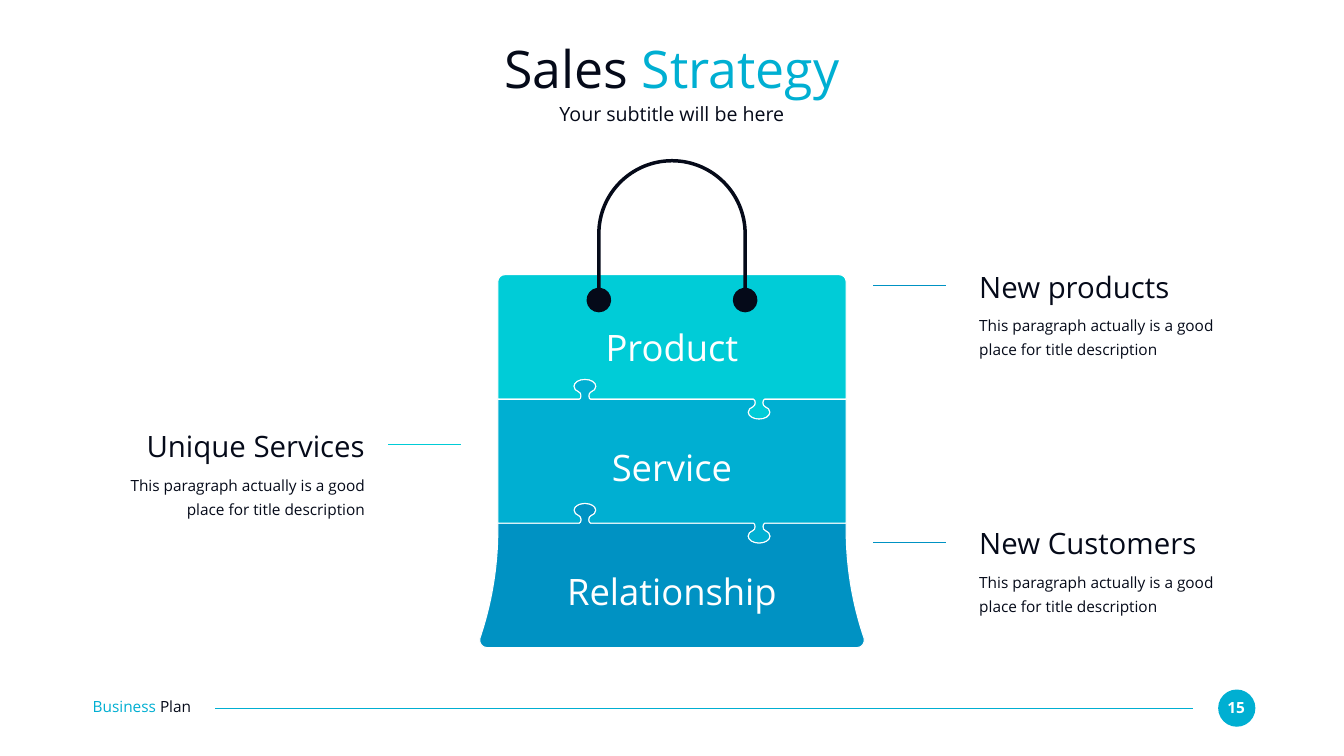
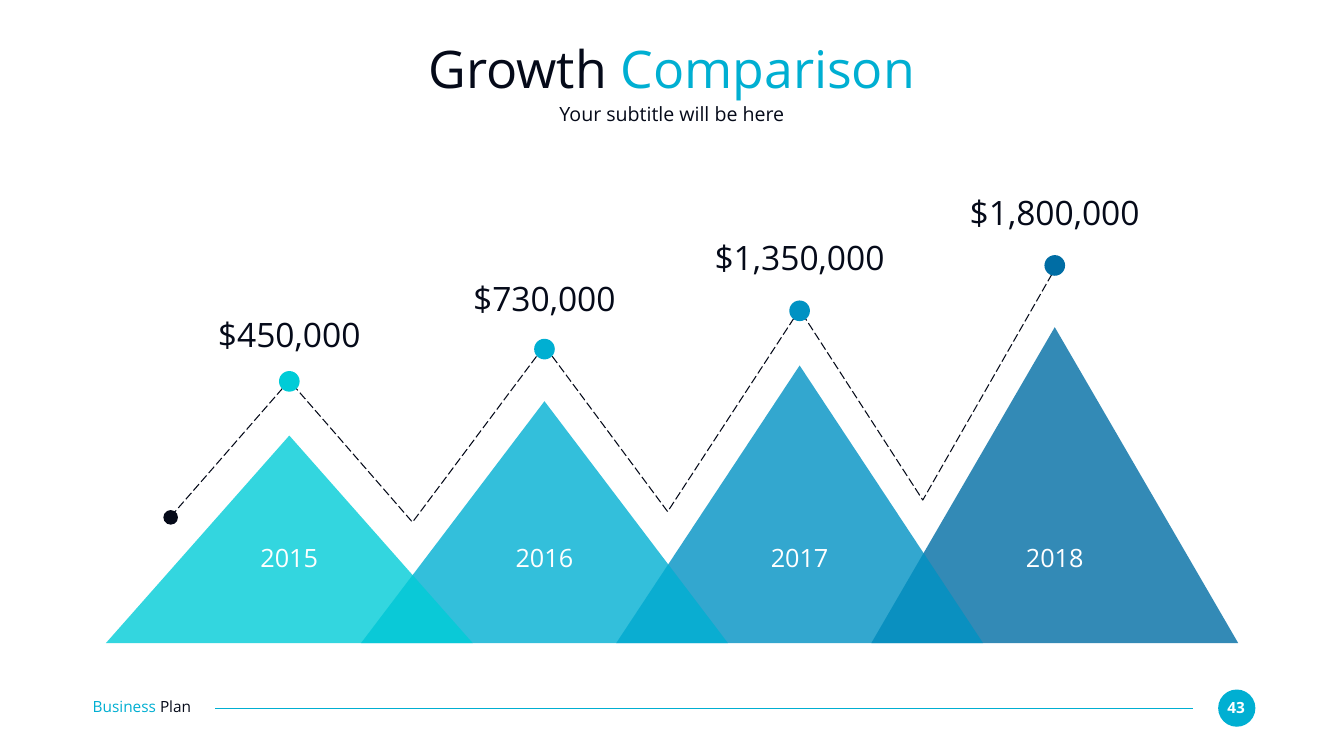
import math

import lxml.etree
import pptx
import pptx.dml.color
import pptx.enum.dml
import pptx.enum.shapes
import pptx.enum.text
import pptx.oxml.ns
import pptx.util

Pt = pptx.util.Pt
ALIGN = pptx.enum.text.PP_ALIGN
SHAPE = pptx.enum.shapes.MSO_SHAPE

FONT = "Open Sans"
COLORS = {
    "ink": "050A19",
    "white": "FFFFFF",
    "aqua": "00CCD7",
    "cyan": "00AFD2",
    "blue": "0092C3",
    "navy": "006DA4",
}
SUBTITLE = "Your subtitle will be here"
DESCRIPTION = "This paragraph actually is a good place for title description"


def rgb(color):
    return pptx.dml.color.RGBColor.from_string(COLORS[color])


def write(shape, *runs, size, color="ink", align=ALIGN.CENTER, bold=False, spacing=None):
    frame = shape.text_frame
    frame.word_wrap = True
    frame.auto_size = pptx.enum.text.MSO_AUTO_SIZE.NONE
    frame.vertical_anchor = pptx.enum.text.MSO_ANCHOR.MIDDLE
    frame.margin_left = frame.margin_top = frame.margin_right = frame.margin_bottom = 0
    paragraph = frame.paragraphs[0]
    paragraph.alignment = align
    if spacing:
        paragraph.line_spacing = spacing
    for text, run_color in runs:
        run = paragraph.add_run()
        run.text = text
        run.font.name = FONT
        run.font.size = Pt(size)
        run.font.bold = bold
        run.font.color.rgb = rgb(run_color or color)


def add_text(slide, box, text, **style):
    write(slide.shapes.add_textbox(*map(Pt, box)), (text, None), **style)


def paint(shape, fill=None, line=None, opacity=None):
    shape.shadow.inherit = False
    if fill:
        shape.fill.solid()
        shape.fill.fore_color.rgb = rgb(fill)
    else:
        shape.fill.background()
    if line:
        shape.line.color.rgb = rgb(line)
        shape.line.width = Pt(1.5)
    else:
        shape.line.fill.background()
    if opacity:
        tint = shape.element.spPr.find(".//" + pptx.oxml.ns.qn("a:srgbClr"))
        alpha = lxml.etree.SubElement(tint, pptx.oxml.ns.qn("a:alpha"))
        alpha.set("val", str(opacity * 1000))


def add_preset(slide, preset, box, fill, opacity=None):
    shape = slide.shapes.add_shape(preset, *map(Pt, box))
    paint(shape, fill, opacity=opacity)


def add_dot(slide, x, y, diameter, fill):
    box = (x - diameter / 2, y - diameter / 2, diameter, diameter)
    add_preset(slide, SHAPE.OVAL, box, fill)


def add_rule(slide, left, right, y, color):
    rule = slide.shapes.add_connector(
        pptx.enum.shapes.MSO_CONNECTOR.STRAIGHT, Pt(left), Pt(y), Pt(right), Pt(y))
    rule.line.color.rgb = rgb(color)
    rule.line.width = Pt(1.5)
    lxml.etree.SubElement(rule.element.spPr, pptx.oxml.ns.qn("a:effectLst"))


def add_outline(slide, origin, points, fill=None, line=None, curved=True):
    placed = [(Pt(origin[0] + x), Pt(origin[1] + y)) for x, y in points]
    builder = slide.shapes.build_freeform(*placed[0])
    builder.add_line_segments(placed[1:], close=curved)
    shape = builder.convert_to_shape()
    paint(shape, fill, line)
    if curved:
        segments = list(shape.element.spPr.iter(pptx.oxml.ns.qn("a:lnTo")))
        for cubic, *controls in zip(segments[::3], segments[1::3], segments[2::3]):
            cubic.tag = pptx.oxml.ns.qn("a:cubicBezTo")
            for control in controls:
                cubic.append(control[0])
                control.getparent().remove(control)
    return shape


def join(first, *others):
    points = list(first)
    for other in others:
        points += [points[-1], other[0], *other]
    return points


def arc(x, y, radius, start, end):
    count = math.ceil(abs(end - start) / 90)
    sweep = math.radians(end - start) / count
    reach = 4 / 3 * math.tan(sweep / 4)
    points = []
    for i in range(count + 1):
        angle = math.radians(start) + sweep * i
        cos, sin = radius * math.cos(angle), radius * math.sin(angle)
        points += [(x + cos + side * reach * sin, y + sin - side * reach * cos)
                   for side in (1, 0, -1)]
    return points[1:-1]


def mirror(points):
    return [(-x, y) for x, y in reversed(points)]


def add_header(slide, box, lead, accent):
    left, top, width, height = box
    title = slide.shapes.title
    title.left, title.top, title.width, title.height = map(Pt, (left, top, width, 91.5))
    write(title, (lead + " ", "ink"), (accent, "cyan"), size=74)
    add_text(slide, (left, top + 93.6, width, height - 93.6), SUBTITLE, size=28)


def add_footer(slide, box, number):
    left, top, width, height = box
    middle = top + height / 2
    add_dot(slide, left + width - height / 2, middle, height, "cyan")
    add_text(slide, (left + width - 48.8, middle - 14.5, 42.5, 26.6), str(number),
             size=22, color="white", bold=True)
    add_rule(slide, left + 175, left + width - 89, middle, "cyan")
    label = slide.shapes.add_textbox(*map(Pt, (left, middle - 15.6, 186.5, 26.6)))
    write(label, ("Business ", "cyan"), ("Plan", "ink"), size=22, align=ALIGN.LEFT)


def new_slide(deck, lead, accent, number):
    slide = deck.slides.add_slide(deck.slide_layouts[5])
    add_footer(slide, (132.4, 985, 1661, 53.2), number)
    add_header(slide, (131.8, 51.8, 1656, 128.9), lead, accent)
    return slide


def seam(y, half_width):
    half_knob = [
        (-8, 0),
        (-6.6, 0.4), (-5.6, 2.5), (-5.6, 5),
        (-5.6, 7.8), (-6.8, 9.6), (-8.6, 10.5),
        (-12.8, 12), (-15.5, 15), (-15.5, 18.5),
        (-15.5, 24), (-8.5, 28.3), (0, 28.3),
    ]
    knob = half_knob + mirror(half_knob)[1:]
    raised = [(x - half_width / 2, y - dy) for x, dy in knob]
    lowered = [(x + half_width / 2, y + dy) for x, dy in knob]
    return join([(-half_width, y)], raised, lowered, [(half_width, y)])


def add_bag(slide, box):
    left, top, width, height = box
    origin = (left + width / 2, top)
    half = 248.8
    upper_seam, lower_seam = seam(178, half), seam(355, half)
    top_corner = arc(half - 10, 10, 10, -90, 0)
    flare = [
        (half, 364.3),
        (half, 417), (257.5, 469.5), (274.3, 519),
        (276.5, 525.6), (271.4, height), (264.2, height),
    ]
    bands = [
        ("Relationship", "blue", join(lower_seam, flare, mirror(flare)), 419.8),
        ("Product", "aqua", join(mirror(top_corner), top_corner, upper_seam[::-1]), 72),
        ("Service", "cyan", join(upper_seam, lower_seam[::-1]), 243.4),
    ]
    for _, fill, outline, _ in bands:
        add_outline(slide, origin, outline, fill, "white")
    add_handle(slide, origin)
    for name, _, _, offset in bands:
        add_text(slide, (origin[0] - 189.7, top + offset, 379.4, 63.4), name,
                 size=52, color="white")


def add_handle(slide, origin):
    reach, stroke, ring, bend, hole = 104.5, 5, 17.6, -58.3, 36.2
    outline = join(
        arc(0, bend, reach + stroke / 2, 0, -180),
        arc(-reach, hole, ring, -98, -442),
        arc(0, bend, reach - stroke / 2, -180, 0),
        arc(reach, hole, ring, -98, -442))
    add_outline(slide, origin, outline, "ink")


def add_callout(slide, box, heading, color, align):
    left, top, width, height = box
    rule_left = left + width + 33 if align == ALIGN.RIGHT else left - 151.2
    add_rule(slide, rule_left, rule_left + 103.7, top + 24.5, color)
    add_text(slide, (left, top, width, 51), heading, size=42, align=align)
    add_text(slide, (left, top + 62, width, height - 61.2), DESCRIPTION,
             size=22, align=align, spacing=1.3)


def build_strategy(deck):
    slide = new_slide(deck, "Sales", "Strategy", 15)
    add_bag(slide, (684, 392.4, 552, 532.8))
    callouts = [
        ("Unique Services", 131.8, 611.1, "aqua", ALIGN.RIGHT),
        ("New Customers", 1398.9, 750.2, "blue", ALIGN.LEFT),
        ("New products", 1398.9, 383.4, "blue", ALIGN.LEFT),
    ]
    for heading, left, top, color, align in callouts:
        add_callout(slide, (left, top, 389.5, 127.4), heading, color, align)


def add_mountains(slide, box):
    left, top, width, height = box
    base = 524.2
    mountains = [
        ("2015", "$450,000", "aqua", 296.6, 174.3, 270.4, 269.3),
        ("2016", "$730,000", "cyan", 345.6, 122.4, 224.3, 219.6),
        ("2017", "$1,350,000", "blue", 396.7, 64.1, 169.6, 167.8),
        ("2018", "$1,800,000", "navy", 451.4, 0, 104.8, 110.2),
    ]
    valleys = [471.6, 456.5, 440]
    step = (width - base) / (len(mountains) - 1)
    centers = [left + base / 2 + step * i for i in range(len(mountains))]
    placed = list(zip(centers, mountains))

    for center, (_, _, color, rise, *_) in reversed(placed):
        add_preset(slide, SHAPE.ISOSCELES_TRIANGLE,
                   (center - base / 2, top + height - rise, base, rise), color, opacity=80)

    start = (92.6, 463.7)
    trend = [start]
    for i, (center, mountain) in enumerate(placed):
        trend.append((center - left, mountain[-1]))
        if i < len(valleys):
            trend.append((center - left + 176, valleys[i]))
    trend_line = add_outline(slide, (left, top), trend, line="ink", curved=False)
    trend_line.line.dash_style = pptx.enum.dml.MSO_LINE.LONG_DASH
    add_dot(slide, left + start[0], top + start[1] + 1, 20.9, "ink")

    for center, (year, amount, color, _, amount_top, dot_y, _) in placed:
        add_text(slide, (center - 86.8, top + 500.4, 173.5, 44), year, size=36, color="white")
        add_text(slide, (center - 132.5, top + amount_top, 265, 58.3), amount, size=48)
        add_dot(slide, center, top + dot_y, 29.5, color)


def build_growth(deck):
    slide = new_slide(deck, "Growth", "Comparison", 43)
    add_mountains(slide, (151.2, 274.4, 1617.7, 644.4))


def main():
    deck = pptx.Presentation()
    deck.slide_width, deck.slide_height = Pt(1920), Pt(1080)
    build_strategy(deck)
    build_growth(deck)
    deck.save("out.pptx")


if __name__ == "__main__":
    main()
